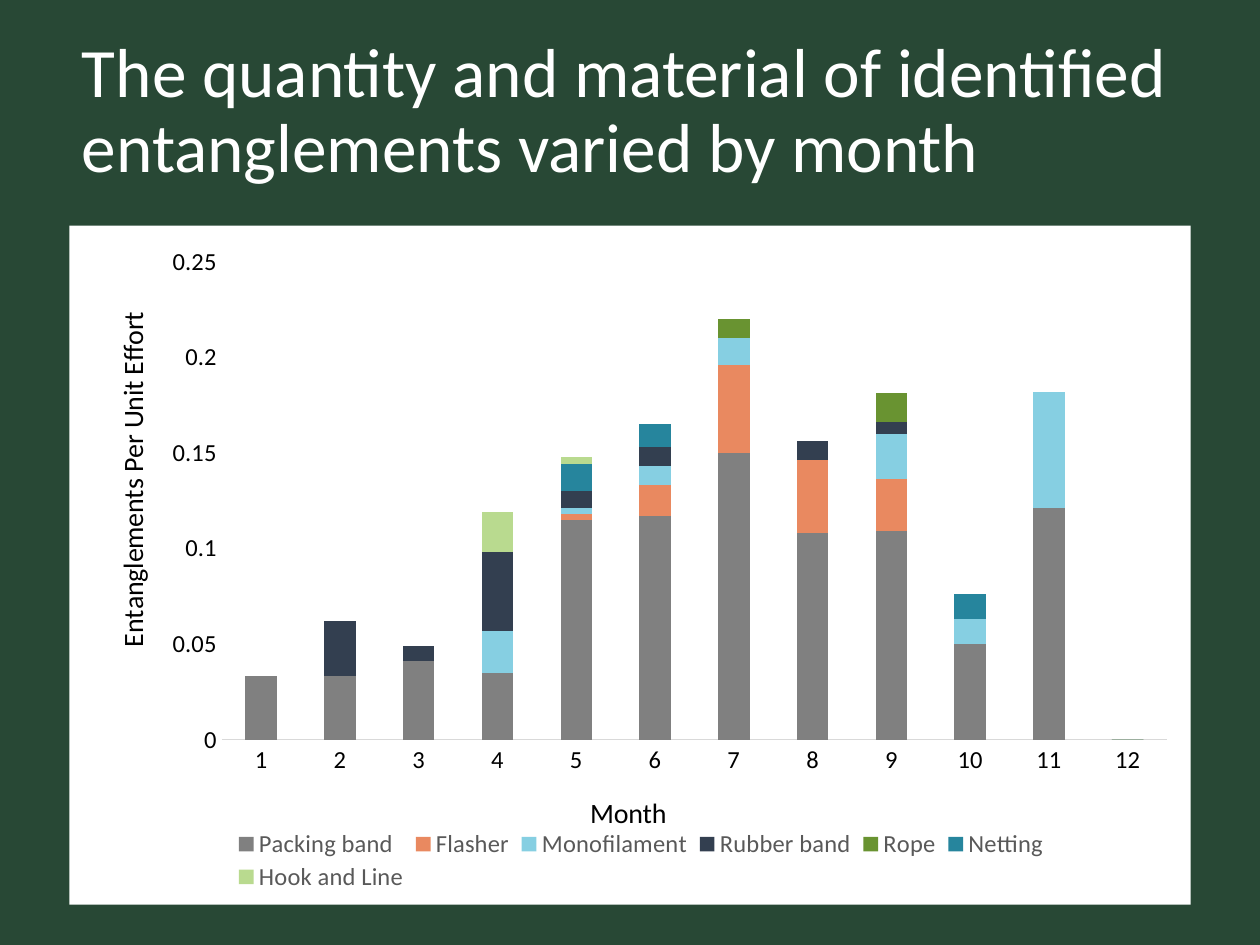
from lxml import etree
from pptx import Presentation
from pptx.chart.data import CategoryChartData
from pptx.dml.color import RGBColor
from pptx.enum import chart as ch, text
from pptx.oxml import parse_xml
from pptx.oxml.ns import nsdecls, qn
from pptx.util import Inches, Pt

FONT = "Calibri"
COLORS = {
    "background": "284835", "white": "FFFFFF", "black": "000000",
    "axis": "D9D9D9", "legend": "595959",
    "Packing band": "808080", "Flasher": "E98960", "Monofilament": "86CFE2",
    "Rubber band": "333F50", "Rope": "699331", "Netting": "26859D",
    "Hook and Line": "B9DA8F",
}
EFFORT = {
    "Packing band": (0.033, 0.033, 0.041, 0.035, 0.115, 0.117,
                     0.15, 0.108, 0.109, 0.05, 0.121, 0),
    "Flasher": (0, 0, 0, 0, 0.003, 0.016, 0.046, 0.038, 0.027, 0, 0, 0),
    "Monofilament": (0, 0, 0, 0.022, 0.003, 0.01, 0.014, 0, 0.024, 0.013, 0.061, 0),
    "Rubber band": (0, 0.029, 0.008, 0.041, 0.009, 0.01, 0, 0.01, 0.006, 0, 0, 0),
    "Rope": (0, 0, 0, 0, 0, 0, 0.01, 0, 0.015, 0, 0, 0),
    "Netting": (0, 0, 0, 0, 0.014, 0.012, 0, 0, 0, 0.013, 0, 0),
    "Hook and Line": (0, 0, 0, 0.021, 0.004, 0, 0, 0, 0, 0, 0, 0),
}


def rgb(name):
    return RGBColor.from_string(COLORS[name])


def place(parent, after, x, y, w=None, h=None, inner=False):
    """Give a chart part a manual layout, in fractions of the chart."""
    for old in parent.findall(qn("c:layout")):
        parent.remove(old)
    layout = parse_xml(f"<c:layout {nsdecls('c')}><c:manualLayout/></c:layout>")
    settings = [("layoutTarget", "inner")] if inner else []
    settings += [("xMode", "edge"), ("yMode", "edge"), ("x", x), ("y", y)]
    if w:
        settings += [("w", w), ("h", h)]
    for tag, value in settings:
        etree.SubElement(layout[0], qn(f"c:{tag}")).set("val", str(value))
    if after:
        parent.find(qn(after)).addnext(layout)
    else:
        parent.insert(0, layout)


class Deck:
    def __init__(self, prs):
        self.slide = prs.slides.add_slide(prs.slide_layouts[5])
        fill = self.slide.background.fill
        fill.solid()
        fill.fore_color.rgb = rgb("background")

    def style(self, font, size, color="black"):
        font.name, font.size, font.bold = FONT, Pt(size), False
        font.color.rgb = rgb(color)

    def title(self, words, left, top, width, height):
        sp = self.slide.shapes.title
        sp.left, sp.top, sp.width, sp.height = map(Inches, (left, top, width, height))
        tf = sp.text_frame
        tf.text = words
        tf.word_wrap = True
        tf.auto_size = text.MSO_AUTO_SIZE.NONE
        tf.vertical_anchor = text.MSO_ANCHOR.MIDDLE
        p = tf.paragraphs[0]
        p.alignment = text.PP_ALIGN.LEFT
        p.line_spacing = 0.9
        self.style(p.runs[0].font, 39.6, "white")

    def axis(self, axis, words, x, y):
        axis.has_major_gridlines = False
        axis.major_tick_mark = axis.minor_tick_mark = ch.XL_TICK_MARK.NONE
        self.style(axis.tick_labels.font, 14)
        tf = axis.axis_title.text_frame
        tf.text = words
        self.style(tf.paragraphs[0].runs[0].font, 16)
        place(axis.axis_title._element, "c:tx", x, y)

    def stacked_chart(self, categories, series, left, top, width, height):
        data = CategoryChartData(number_format="General")
        data.categories = categories
        for name, values in series.items():
            data.add_series(name, values)
        chart = self.slide.shapes.add_chart(
            ch.XL_CHART_TYPE.COLUMN_STACKED,
            *map(Inches, (left, top, width, height)), data).chart
        self.style(chart.font, 10)
        chart.has_title = False

        # White chart area
        root = chart._chartSpace
        root.find(qn("c:chart")).addnext(parse_xml(
            f"<c:spPr {nsdecls('c', 'a')}><a:solidFill><a:srgbClr "
            f"val=\"{COLORS['white']}\"/></a:solidFill>"
            "<a:ln><a:noFill/></a:ln></c:spPr>"))

        # Columns
        plot = chart.plots[0]
        plot.gap_width, plot.overlap = 150, 100
        plot.vary_by_categories = False
        for s in plot.series:
            s.format.fill.solid()
            s.format.fill.fore_color.rgb = rgb(s.name)
        place(root.find(".//" + qn("c:plotArea")), None,
              0.136, 0.053, 0.843, 0.704, inner=True)

        # Axes
        self.axis(chart.category_axis, "Month", 0.46, 0.83)
        self.axis(chart.value_axis, "Entanglements Per Unit Effort", 0.035, 0.12)
        line = chart.category_axis.format.line
        line.color.rgb, line.width = rgb("axis"), Pt(0.75)
        chart.value_axis.format.line.fill.background()
        chart.value_axis.minimum_scale = 0
        chart.value_axis.maximum_scale = 0.25
        chart.value_axis.major_unit = 0.05

        # Legend
        chart.has_legend = True
        legend = chart.legend
        legend.position = ch.XL_LEGEND_POSITION.BOTTOM
        legend.include_in_layout = False
        self.style(legend.font, 14, "legend")
        place(legend._element, "c:legendPos", 0.14, 0.885, 0.74, 0.1)


def main():
    prs = Presentation()
    prs.slide_width, prs.slide_height = Inches(10), Inches(7.5)
    deck = Deck(prs)
    deck.title("The quantity and material of identified entanglements varied by month",
               0.55, 0, 8.9, 1.79)
    deck.stacked_chart([str(month) for month in range(1, 13)], EFFORT,
                       0.55, 1.79, 8.9, 5.39)
    prs.save("out.pptx")


if __name__ == "__main__":
    main()
